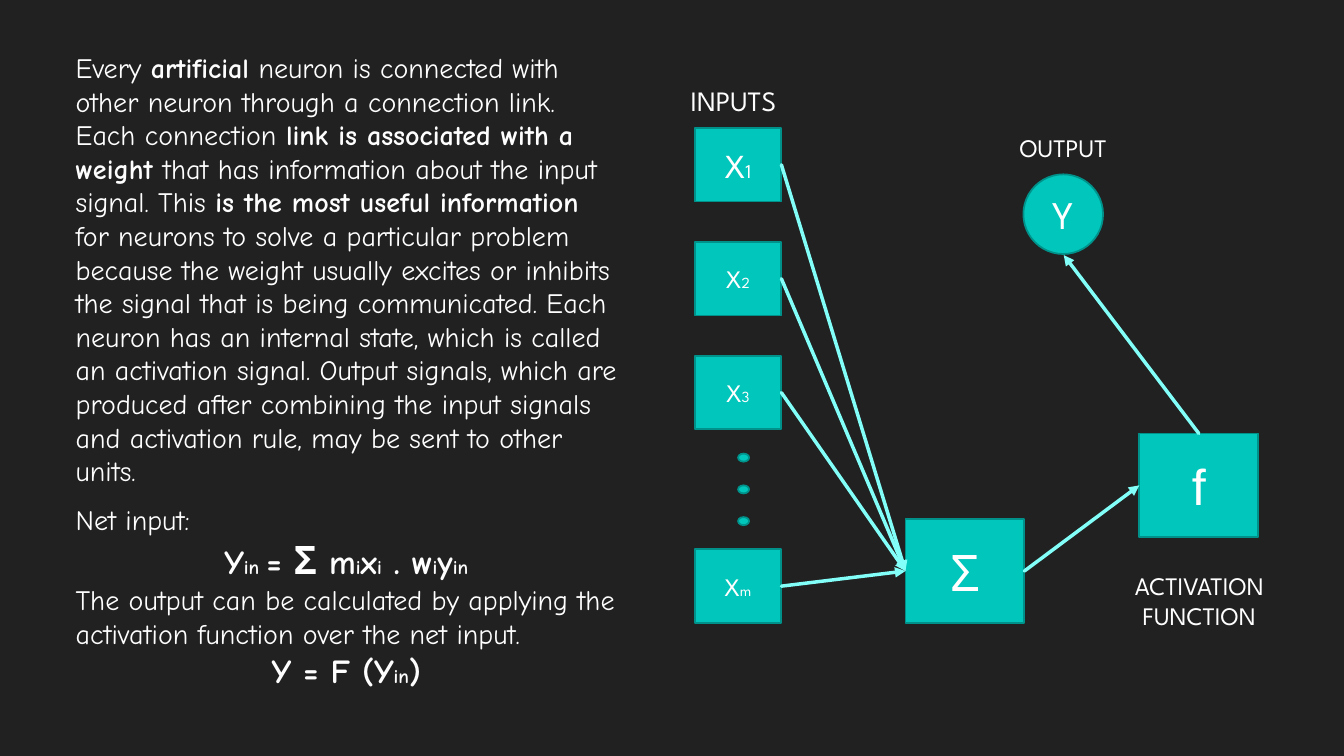
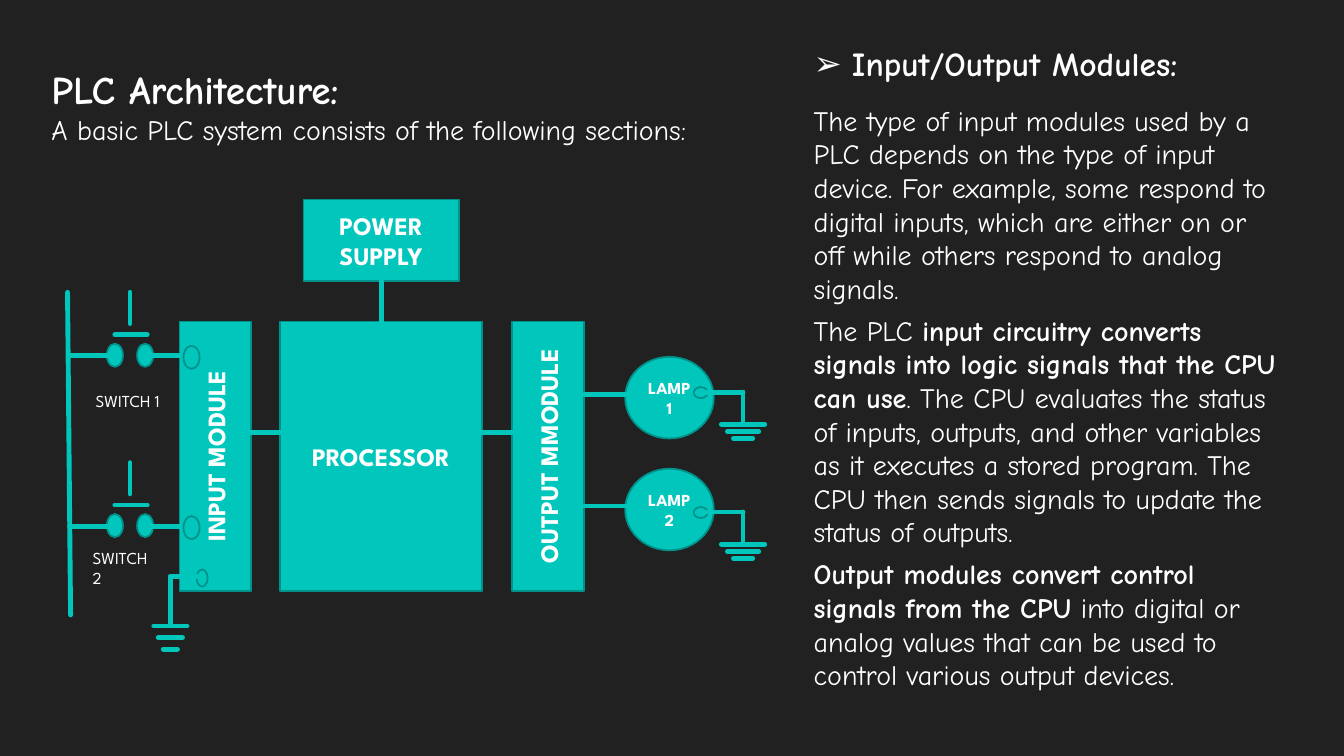
from dataclasses import dataclass
from typing import NamedTuple

from pptx import Presentation
from pptx.dml.color import RGBColor
from pptx.enum.shapes import MSO_CONNECTOR, MSO_SHAPE
from pptx.enum.text import MSO_ANCHOR, MSO_AUTO_SIZE, PP_ALIGN
from pptx.oxml.ns import qn
from pptx.shapes.autoshape import Shape
from pptx.shapes.connector import Connector
from pptx.slide import Slide
from pptx.text.text import TextFrame
from pptx.util import Inches, Pt
from lxml.etree import SubElement


# Theme
@dataclass(frozen=True)
class Theme:
    back: str = "212121"
    text: str = "FEFEFE"
    white: str = "FFFFFF"
    teal: str = "00C6BB"
    edge: str = "00928A"
    link: str = "82FFF8"
    body: str = "Comic Neue"
    label: str = "League Spartan"
    plain: str = "Arial"
    head: int = 28
    sub: int = 24
    copy: int = 20
    mark: int = 18
    small: int = 12
    low: int = 14
    lead: int = 24  # line pitch of running text


T = Theme()


class Bit(NamedTuple):
    text: str
    size: int | None = None
    bold: bool | None = None
    font: str | None = None


class Area(NamedTuple):
    left: float
    top: float
    width: float
    height: float


class Point(NamedTuple):
    x: float
    y: float


@dataclass
class Para:
    bits: list[Bit]
    size: int = T.copy
    font: str = T.body
    tint: str = T.text
    bold: bool = False
    mid: bool = False
    lead: int | None = T.lead
    gap: int = 0
    mark: str = ""


def bold(text: str) -> Bit:
    return Bit(text, bold=True)


def low(text: str, size: int = T.low) -> Bit:
    return Bit(text, size)


def label(*bits: Bit, size: int = T.mark, font: str = T.label,
          bold: bool = False, mid: bool = True) -> Para:
    return Para(list(bits), size, font, T.white, bold, mid, None)


# Text
def write(frame: TextFrame, paras: list[Para]) -> None:
    for i, item in enumerate(paras):
        par = frame.add_paragraph() if i else frame.paragraphs[0]
        par.alignment = PP_ALIGN.CENTER if item.mid else PP_ALIGN.LEFT
        par.space_before, par.space_after = Pt(item.gap), Pt(0)
        if item.lead:
            par.line_spacing = Pt(item.lead)
        props = par._p.get_or_add_pPr()
        hang = Inches(0.38) if item.mark else 0
        props.set("marL", str(hang))
        props.set("indent", str(-hang))
        if item.mark:
            SubElement(props, qn("a:buFont"), typeface=T.plain)
            SubElement(props, qn("a:buChar"), char=item.mark)
        else:
            SubElement(props, qn("a:buNone"))
        font = par.font
        font.size, font.name, font.bold = Pt(item.size), item.font, item.bold
        font.color.rgb = RGBColor.from_string(item.tint)
        for bit in item.bits:
            run = par.add_run()
            run.text = bit.text
            if bit.size:
                run.font.size = Pt(bit.size)
            if bit.bold is not None:
                run.font.bold = bit.bold
            if bit.font:
                run.font.name = bit.font


def place(shape: Shape, area: Area, paras: list[Para]) -> None:
    """Move a placeholder and set its text at the bottom."""
    shape.left, shape.top, shape.width, shape.height = map(Inches, area)
    frame = shape.text_frame
    frame.word_wrap = True
    frame.auto_size = MSO_AUTO_SIZE.NONE
    frame.vertical_anchor = MSO_ANCHOR.BOTTOM
    write(frame, paras)


def note(slide: Slide, area: Area, para: Para) -> None:
    frame = slide.shapes.add_textbox(*map(Inches, area)).text_frame
    frame.word_wrap = True
    write(frame, [para])


# Shapes and lines
def block(slide: Slide, area: Area, para: Para | None = None,
          kind: MSO_SHAPE = MSO_SHAPE.RECTANGLE, turn: bool = False) -> Shape:
    shape = slide.shapes.add_shape(kind, *map(Inches, area))
    shape.shadow.inherit = False
    shape.fill.solid()
    shape.fill.fore_color.rgb = RGBColor.from_string(T.teal)
    shape.line.color.rgb = RGBColor.from_string(T.edge)
    shape.line.width = Pt(1.25)
    if para:
        write(shape.text_frame, [para])
    if turn:
        shape.element.txBody.bodyPr.set("vert", "vert270")
    return shape


def oval(slide: Slide, area: Area, para: Para | None = None) -> Shape:
    return block(slide, area, para, MSO_SHAPE.OVAL)


def line(slide: Slide, start: Point, end: Point, tint: str = T.teal,
         width: float = 3.5, arrow: bool = False) -> Connector:
    wire = slide.shapes.add_connector(
        MSO_CONNECTOR.STRAIGHT, *map(Inches, (*start, *end)))
    wire.line.color.rgb = RGBColor.from_string(tint)
    wire.line.width = Pt(width)
    props = wire.element.spPr
    stroke = props.find(qn("a:ln"))
    stroke.set("cap", "rnd")
    if arrow:
        SubElement(stroke, qn("a:tailEnd"), type="triangle")
    SubElement(props, qn("a:effectLst"))
    return wire


def join(slide: Slide, start: Shape, side: int, end: Shape | Point,
         goal: int = 1, **style) -> None:
    spot = end if isinstance(end, Point) else Point(0, 0)
    wire = line(slide, Point(0, 0), spot, **style)
    wire.begin_connect(start, side)
    if not isinstance(end, Point):
        wire.end_connect(end, goal)


def level(slide: Slide, left: float, right: float, y: float) -> None:
    line(slide, Point(left, y), Point(right, y))


# Circuit parts
def switch(slide: Slide, top: float) -> None:
    line(slide, Point(1.29, top), Point(1.29, top + 0.31))
    level(slide, 1.14, 1.46, top + 0.42)
    for left in (1.06, 1.36):
        oval(slide, Area(left, top + 0.51, 0.16, 0.23))
    for left in (0.69, 1.44):
        level(slide, left, left + 0.45, top + 0.63)
    oval(slide, Area(1.82, top + 0.53, 0.16, 0.23))


def ground(slide: Slide, top: Point, tip: float, drop: float, pitch: float,
           bars: tuple[float, ...], port: Area) -> None:
    """Terminal, lead, stem and shrinking bars of an earth symbol."""
    oval(slide, port)
    level(slide, top.x, tip, top.y)
    line(slide, top, Point(top.x, top.y + drop))
    for i, width in enumerate(bars):
        y = top.y + drop + 0.02 + i * pitch
        level(slide, top.x - width / 2, top.x + width / 2, y)


# Slides
def neuron(slide: Slide) -> None:
    place(slide.shapes.title, Area(6.75, 0.55, 1.23, 0.66),
          [Para([Bit("INPUTS")], font=T.label, lead=None)])
    place(slide.placeholders[1], Area(0.65, 0.61, 5.57, 6.29), [
        Para([
            Bit("Every "), bold("artificial"),
            Bit(" neuron is connected with other neuron through a connection "
                "link. Each connection "),
            bold("link is associated with a weight "),
            Bit("that has information about the input signal. This "),
            bold("is the most useful information "),
            Bit("for neurons to solve a particular problem because the weight "
                "usually excites or inhibits the signal that is being "
                "communicated. Each neuron has an internal state, which is "
                "called an activation signal. Output signals, which are "
                "produced after combining the input signals and activation "
                "rule, may be sent to other units.")]),
        Para([Bit("Net input:")], gap=11),
        Para([Bit("Y"), low("in "), Bit("= "),
              Bit("Σ", T.head, font=T.label), Bit(" m"), low("i"), Bit("x"),
              low("i"), Bit(" . w"), low("i"), Bit("y"), low("in")],
             T.sub, bold=True, mid=True, lead=33),
        Para([Bit("The output can be calculated by applying the activation "
                  "function over the net input.")]),
        Para([Bit("Y = F (Y"), low("in"), Bit(")")],
             T.sub, bold=True, mid=True, lead=29)])

    # Nodes
    rows = [("1", 1.27, 24, 14), ("2", 2.4, T.mark, 11),
            ("3", 3.53, T.mark, 11), ("m", 5.45, T.mark, 11)]
    cells = [block(slide, Area(6.89, top, 0.86, 0.73),
                   label(Bit("X"), low(name, tiny), size=size))
             for name, top, size, tiny in rows]
    total = block(slide, Area(8.98, 5.15, 1.18, 1.03),
                  label(Bit("Σ"), size=36))
    act = block(slide, Area(11.3, 4.3, 1.18, 1.03),
                label(Bit("f"), size=36, font=T.plain))
    oval(slide, Area(10.15, 1.73, 0.79, 0.79), label(Bit("Y"), size=T.head))
    note(slide, Area(11.01, 5.61, 1.77, 0.71),
         label(Bit("ACTIVATION FUNCTION")))
    note(slide, Area(9.66, 1.26, 1.77, 0.4), label(Bit("OUTPUT")))
    for i in range(3):
        block(slide, Area(7.32, 4.5 + 0.315 * i, 0.11, 0.08),
              kind=MSO_SHAPE.FLOWCHART_CONNECTOR)

    # Arrows
    style = dict(tint=T.link, width=2.5, arrow=True)
    for cell in cells:
        join(slide, cell, 3, total, **style)
    join(slide, total, 3, act, **style)
    join(slide, act, 0, Point(10.55, 2.53), **style)


def plc(slide: Slide) -> None:
    place(slide.shapes.title, Area(0.41, 0.7, 7.17, 0.8), [
        Para([Bit("PLC Architecture:")], T.head, tint=T.white, bold=True,
             lead=34),
        Para([Bit("A basic PLC system consists of the following sections:")],
             tint=T.white)])
    place(slide.placeholders[1], Area(7.97, 0.25, 4.79, 6.66), [
        Para([Bit("Input/Output Modules:")], T.sub, bold=True, lead=29,
             mark="➢"),
        Para([Bit("The type of input modules used by a PLC depends on the "
                  "type of input device. For example, some respond to digital "
                  "inputs, which are either on or off while others respond to "
                  "analog signals.")], tint=T.white, gap=14),
        Para([Bit("The PLC "),
              bold("input circuitry converts signals into logic signals that "
                   "the CPU can use"),
              Bit(". The CPU evaluates the status of inputs, outputs, and "
                  "other variables as it executes a stored program. The CPU "
                  "then sends signals to update the status of outputs.")],
             tint=T.white, gap=6),
        Para([bold("Output modules convert control signals from the CPU"),
              Bit(" into digital or analog values that can be used to control "
                  "various output devices.")], tint=T.white, gap=6)])

    # Modules
    core = block(slide, Area(2.78, 3.19, 2, 2.67),
                 label(Bit("PROCESSOR"), bold=True))
    for left, name in ((5.08, "OUTPUT MMODULE"), (1.78, "INPUT MODULE")):
        block(slide, Area(left, 3.19, 0.71, 2.67),
              label(Bit(name), bold=True), turn=True)
    power = block(slide, Area(3.01, 1.98, 1.54, 0.81),
                  label(Bit("POWER SUPPLY"), bold=True))
    join(slide, power, 2, core, 0)
    for left, right in ((2.49, 2.78), (4.78, 5.08)):
        level(slide, left, right, 4.29)

    # Lamps
    for i, top in enumerate((3.54, 4.65)):
        oval(slide, Area(6.2, top, 0.88, 0.81),
             label(Bit(f"LAMP {i + 1}"), size=T.small, bold=True))
        level(slide, 5.8, 6.22, top + 0.37)
        y = 3.89 + 1.19 * i
        ground(slide, Point(7.37, y), 6.93, 0.3, 0.07, (0.43, 0.31, 0.19),
               Area(6.88, y - 0.05, 0.14, 0.11))

    # Switches
    line(slide, Point(0.67, 2.9), Point(0.7, 6.1))
    for top in (2.9, 4.59):
        switch(slide, top)
    ground(slide, Point(1.69, 5.72), 2.02, 0.47, 0.115, (0.33, 0.24, 0.14),
           Area(1.95, 5.65, 0.11, 0.17))
    for name, left, top, width in (("SWITCH 1", 0.85, 3.83, 0.92),
                                   ("SWITCH 2", 0.82, 5.38, 0.8)):
        note(slide, Area(left, top, width, 0.29),
             label(Bit(name), size=T.small, mid=False))


def main() -> None:
    deck = Presentation()
    deck.slide_width, deck.slide_height = Inches(13.33), Inches(7.5)
    back = deck.slide_master.background.fill
    back.solid()
    back.fore_color.rgb = RGBColor.from_string(T.back)
    for draw in (neuron, plc):
        draw(deck.slides.add_slide(deck.slide_layouts[1]))
    deck.save("out.pptx")


if __name__ == "__main__":
    main()
